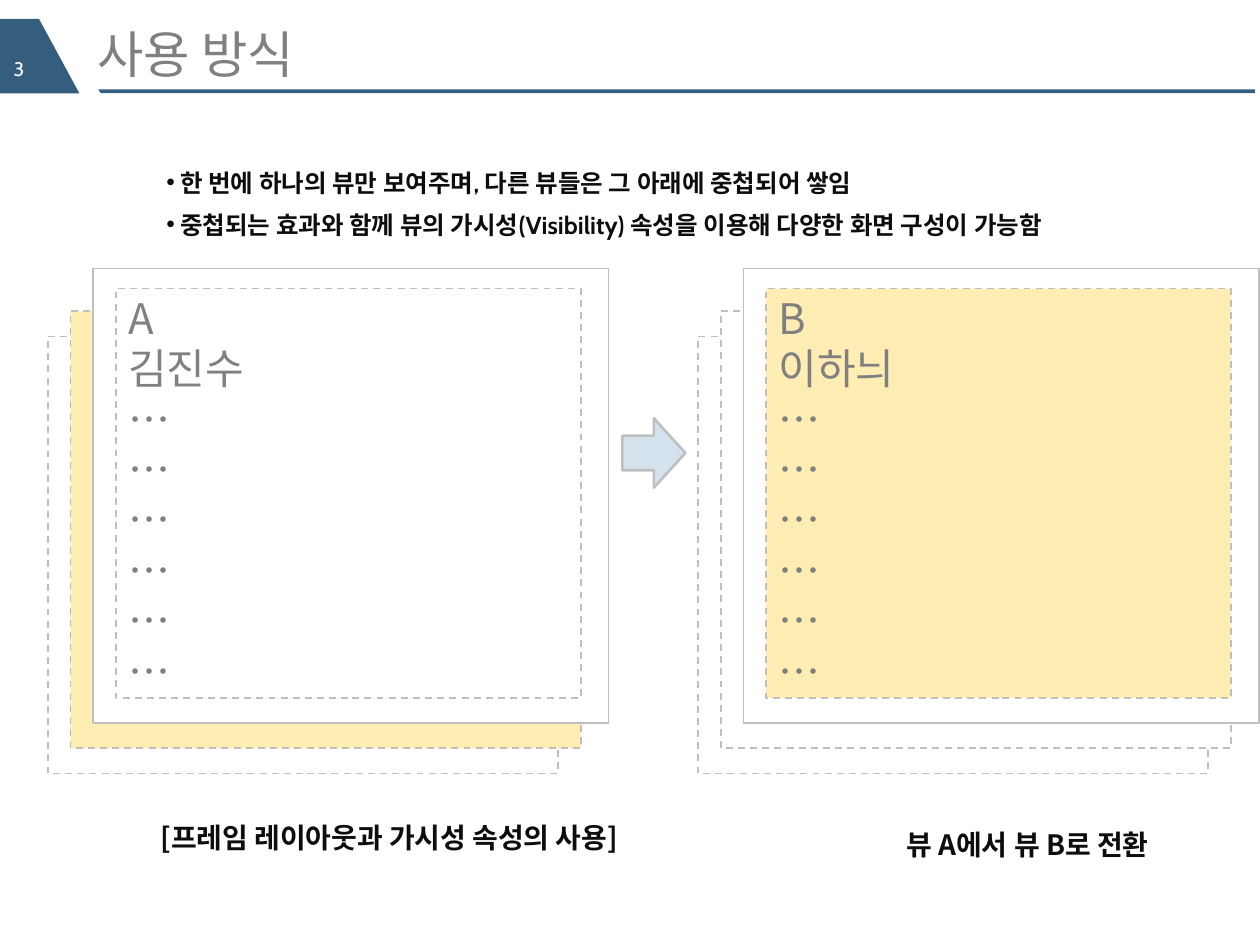
from pptx import Presentation
from pptx.dml.color import RGBColor
from pptx.enum.dml import MSO_LINE_DASH_STYLE as Dash
from pptx.enum.shapes import MSO_SHAPE as Shape
from pptx.enum.text import MSO_ANCHOR as Anchor, MSO_AUTO_SIZE as AutoSize, PP_ALIGN as Align
from pptx.oxml.ns import qn
from pptx.util import Inches, Pt
from lxml.etree import SubElement

NAVY, GRAY, INK, EDGE = "355D7E", "808080", "0D0D0D", "BFBFBF"
WHITE, YELLOW, PALE_BLUE = "FFFFFF", "FFEDB3", "D4E2ED"
KOREAN, LATIN = "Noto Sans CJK KR", "Cabin"


def color(value):
    return RGBColor.from_string(value)


class SlideBuilder:
    """Holds the slide and its text and outline style."""

    def __init__(self, slide):
        self.slide = slide
        self.shapes = slide.shapes

    def place(self, shape, box):
        for name, value in zip(("left", "top", "width", "height"), box):
            setattr(shape, name, Inches(value))

    def fill_text(self, shape, lines, size, ink, font=KOREAN, bold=False,
                  frame_format=None, bullet=None, **paragraph_format):
        frame = shape.text_frame
        settings = {"word_wrap": True, "auto_size": AutoSize.NONE,
                    "vertical_anchor": Anchor.TOP, **(frame_format or {})}
        for name, value in settings.items():
            setattr(frame, name, value)
        settings = {"alignment": Align.LEFT, "space_before": Pt(0), **paragraph_format}
        for index, line in enumerate(lines):
            paragraph = frame.add_paragraph() if index else frame.paragraphs[0]
            for name, value in settings.items():
                setattr(paragraph, name, value)
            if bullet:
                self.add_bullet(paragraph, bullet)
            run = paragraph.add_run()
            run.text = line
            for name, value in {"size": Pt(size), "name": font, "bold": bold}.items():
                setattr(run.font, name, value)
            run.font.color.rgb = color(ink)
            east_asian = SubElement(run._r.get_or_add_rPr(), qn("a:ea"))
            east_asian.set("typeface", KOREAN)

    def add_bullet(self, paragraph, mark, indent=0.11):
        properties = paragraph._p.get_or_add_pPr()
        properties.set("marL", str(Inches(indent)))
        properties.set("indent", str(-Inches(indent)))
        SubElement(properties, qn("a:buChar")).set("char", mark)

    def placeholder(self, index, box, lines, size, ink, **formats):
        holder = self.slide.placeholders[index]
        self.place(holder, box)
        self.fill_text(holder, lines, size, ink, **formats)

    def text(self, box, line, size, ink, **formats):
        label = self.shapes.add_textbox(*map(Inches, box))
        self.fill_text(label, [line], size, ink, **formats)

    def block(self, kind, box, fill, weight=1, dash=None):
        block = self.shapes.add_shape(kind, *map(Inches, box))
        block.shadow.inherit = False
        if fill:
            block.fill.solid()
            block.fill.fore_color.rgb = color(fill)
        else:
            block.fill.background()
        block.line.color.rgb = color(EDGE)
        block.line.width = Pt(weight)
        if dash:
            block.line.dash_style = dash
        return block

    def outline(self, points, fill):
        start, *rest = [(Inches(x), Inches(y)) for x, y in points]
        builder = self.shapes.build_freeform(*start)
        builder.add_line_segments(rest, close=True)
        outline = builder.convert_to_shape()
        outline.shadow.inherit = False
        outline.fill.solid()
        outline.fill.fore_color.rgb = color(fill)
        outline.line.fill.background()

    def view_stack(self, left, middle_fill, view_fill, lines):
        """Two hidden views behind a screen that shows the current view."""
        self.block(Shape.RECTANGLE, (left, 2.67, 4.05, 3.47), WHITE, dash=Dash.DASH)
        self.block(Shape.RECTANGLE, (left + 0.18, 2.47, 4.05, 3.47), middle_fill, dash=Dash.DASH)
        self.block(Shape.RECTANGLE, (left + 0.36, 2.13, 4.09, 3.61), WHITE)
        view = self.block(Shape.RECTANGLE, (left + 0.54, 2.29, 3.69, 3.25), view_fill, dash=Dash.DASH)
        self.fill_text(view, lines, 24, GRAY, line_spacing=Pt(28.8),
                       frame_format={"vertical_anchor": Anchor.BOTTOM,
                                     "margin_top": Inches(0.02),
                                     "margin_bottom": Inches(0.02)})


deck = Presentation()
deck.slide_width, deck.slide_height = Inches(10), Inches(7.5)
page = SlideBuilder(deck.slides.add_slide(deck.slide_layouts[1]))

# Header
page.outline([(0.78, 0.71), (9.96, 0.71), (9.96, 0.74), (0.8, 0.74)], NAVY)
page.outline([(0.31, 0.15), (0.63, 0.74), (0, 0.74), (0, 0.15)], NAVY)
page.text((0.01, 0.4, 0.58, 0.27), "3", 11.2, WHITE, font=LATIN)
page.placeholder(0, (0.67, 0.25, 8.92, 0.35), ["사용 방식"], 28.8, GRAY,
                 frame_format={"vertical_anchor": Anchor.MIDDLE})

# Key points
page.placeholder(1, (1.22, 1.18, 8.37, 0.71), [
    "한 번에 하나의 뷰만 보여주며, 다른 뷰들은 그 아래에 중첩되어 쌓임",
    "중첩되는 효과와 함께 뷰의 가시성(Visibility) 속성을 이용해 다양한 화면 구성이 가능함",
], 14, INK, font=LATIN, bold=True, bullet="•", line_spacing=Pt(24))

# Switch from view A to view B
more = ["…"] * 6
page.view_stack(0.38, YELLOW, None, ["A", "김진수", *more])
page.block(Shape.RIGHT_ARROW, (4.94, 3.32, 0.5, 0.55), PALE_BLUE, weight=1.5)
page.view_stack(5.54, WHITE, YELLOW, ["B", "이하늬", *more])

# Captions
for box, caption in [
    ((0.66, 6.46, 4.86, 0.37), "[프레임 레이아웃과 가시성 속성의 사용]"),
    ((6.97, 6.52, 2.37, 0.37), "뷰 A에서 뷰 B로 전환"),
]:
    page.text(box, caption, 16, INK, bold=True, alignment=Align.CENTER)

deck.save("out.pptx")
